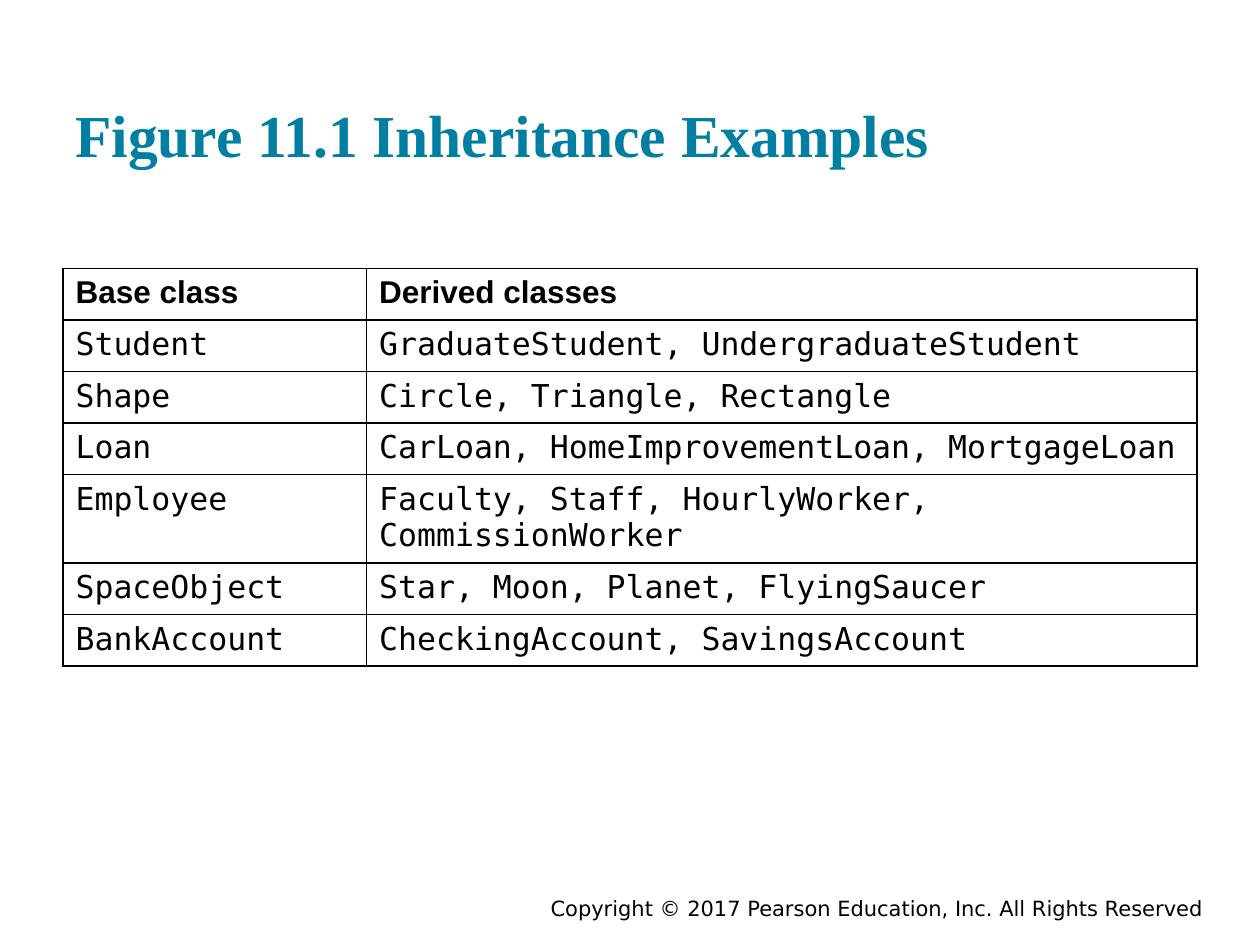
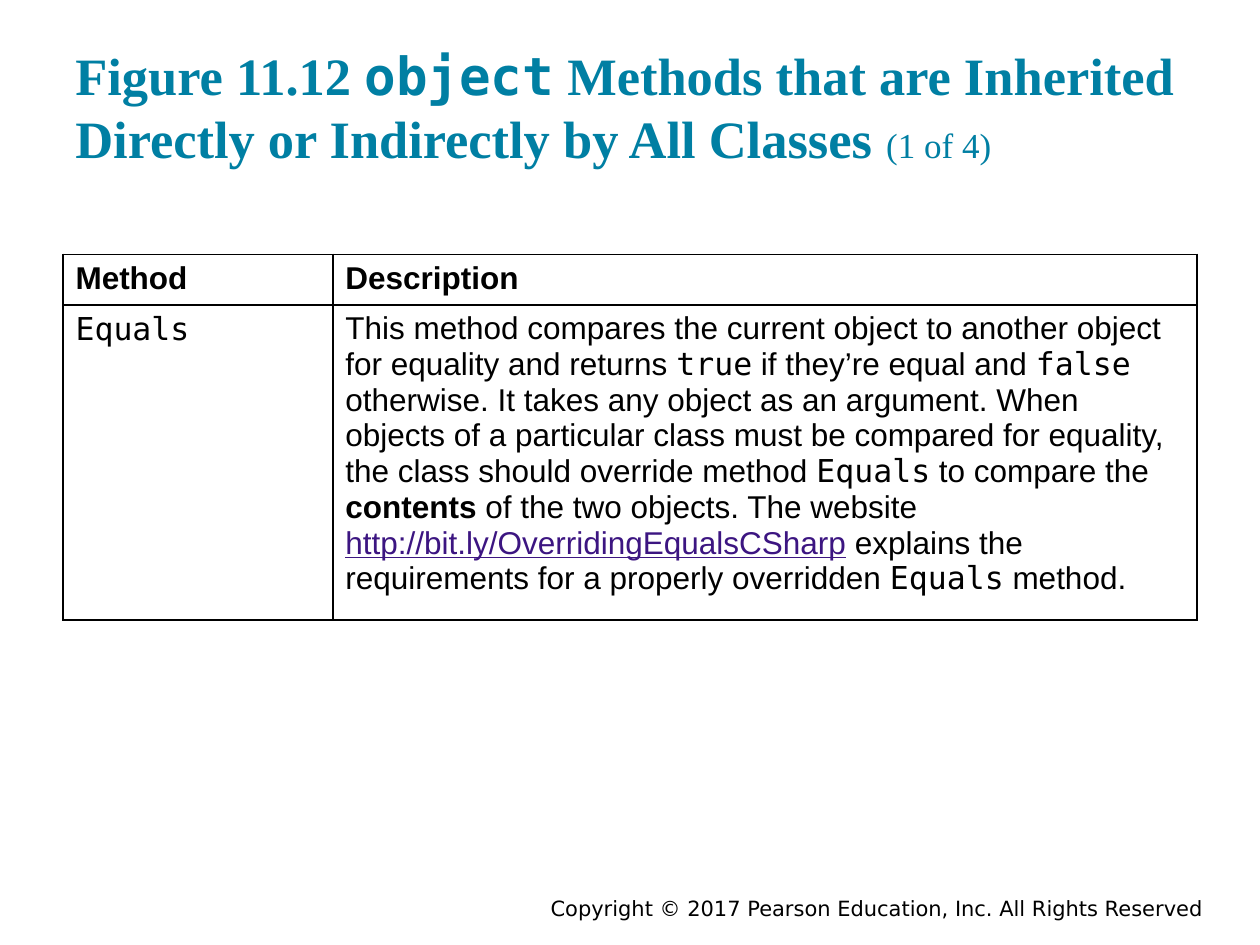
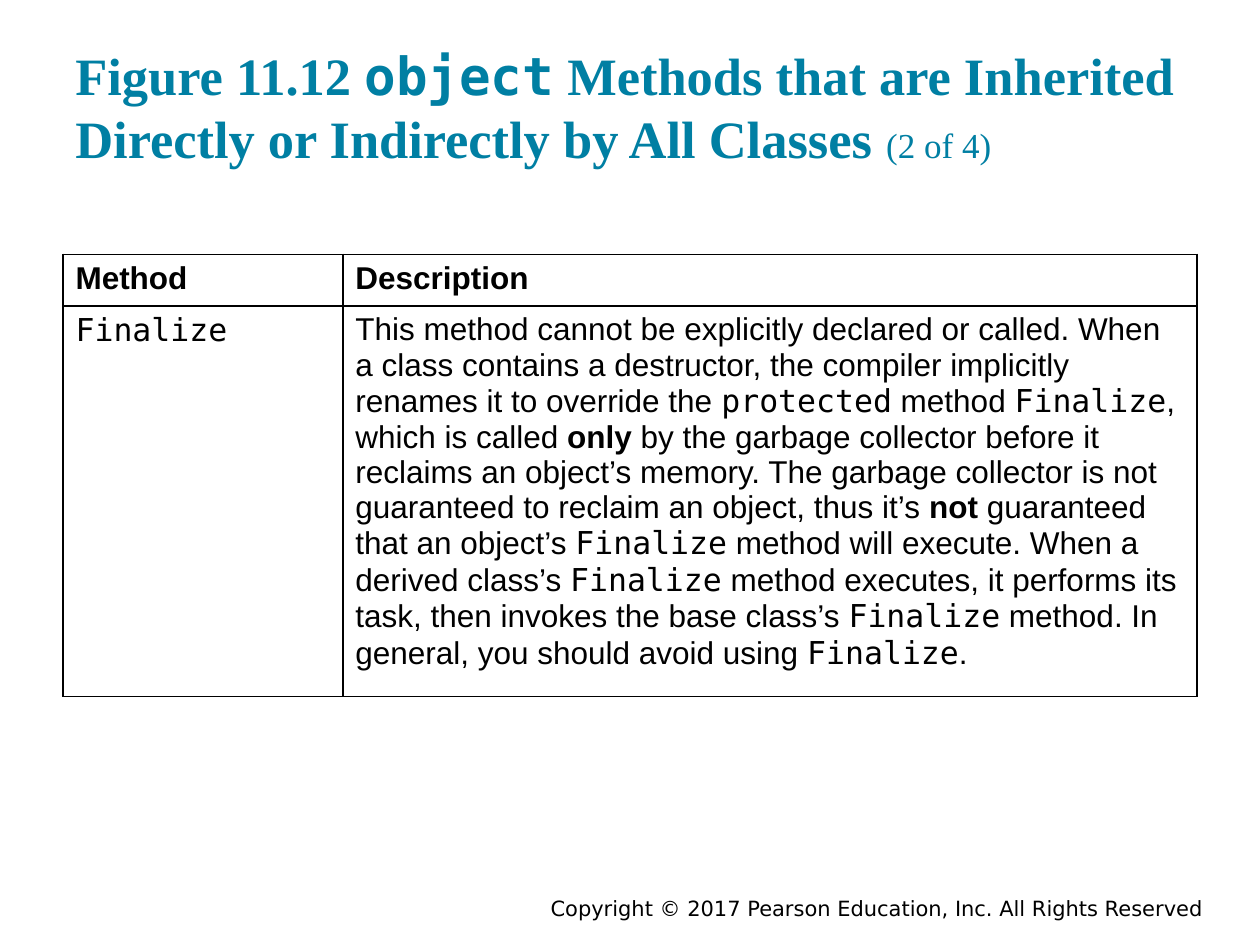
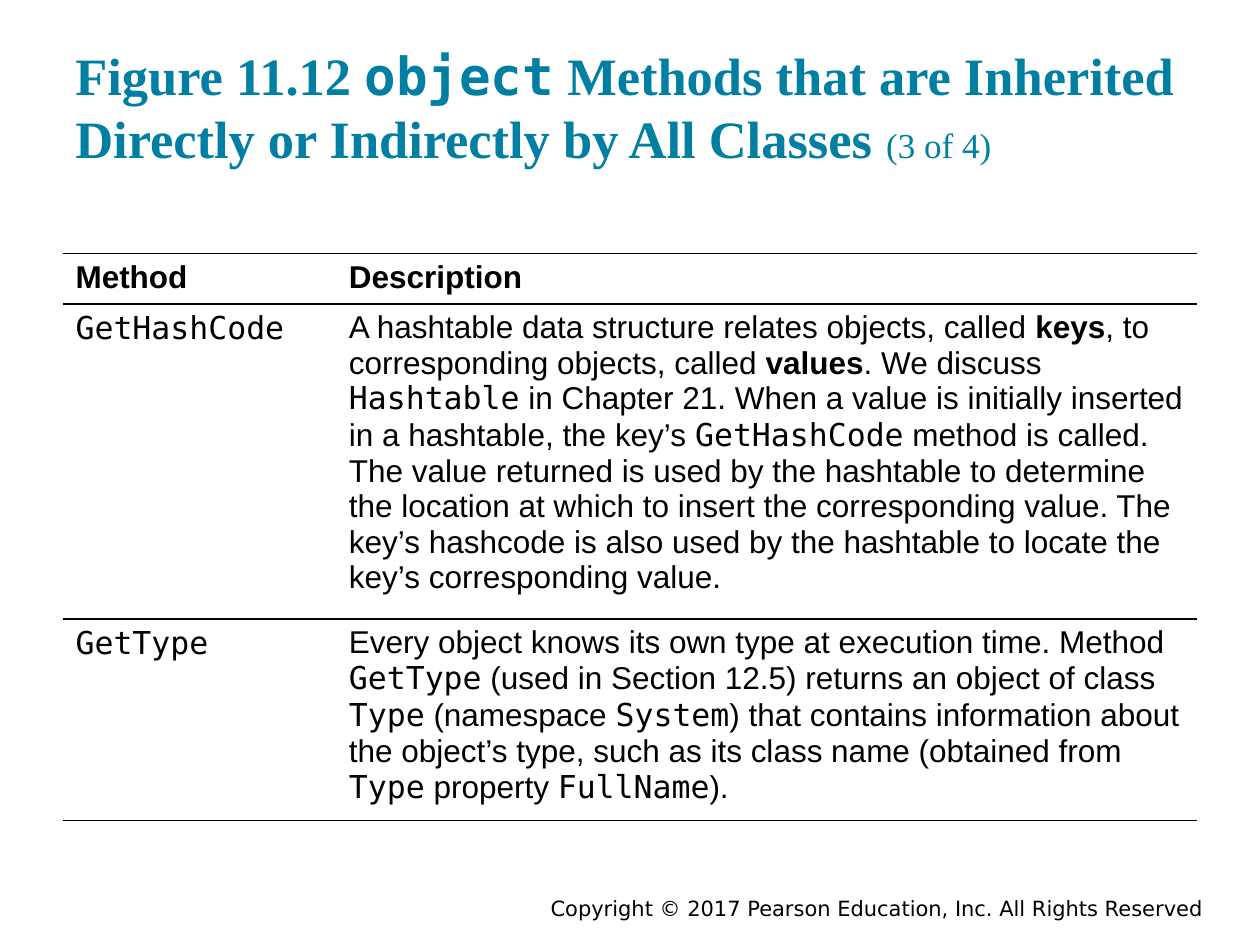
from lxml import etree
from pptx import Presentation
from pptx.dml.color import RGBColor
from pptx.enum.text import MSO_ANCHOR, PP_ALIGN
from pptx.oxml.ns import qn
from pptx.util import Cm, Pt

BOTTOM, MIDDLE = MSO_ANCHOR.BOTTOM, MSO_ANCHOR.MIDDLE
LEFT, RIGHT = PP_ALIGN.LEFT, PP_ALIGN.RIGHT

# Content; marks around words: `code`, *bold*, ~link~, ^page count^
COPYRIGHT = "Copyright © 2017 Pearson Education, Inc. All Rights Reserved"
METHODS_TITLE = ("Figure 11.12 `object` Methods that are Inherited Directly "
                 "or Indirectly by All Classes ^({} of 4)^")
METHODS_HEADER = ("Method", "Description")

SLIDES = [
    {
        "title": "Figure 11.1 Inheritance Examples", "title_size": 34,
        "top": 5.41, "first_column": 6.12, "borders": "LRTB",
        "row_heights": [1.04, 1.04, 1.04, 1.04, 1.73, 1.04, 1.04],
        "rows": [
            ("Base class", "Derived classes"),
            ("`Student`", "`GraduateStudent, UndergraduateStudent`"),
            ("`Shape`", "`Circle, Triangle, Rectangle`"),
            ("`Loan`", "`CarLoan, HomeImprovementLoan, MortgageLoan`"),
            ("`Employee`", "`Faculty, Staff, HourlyWorker, CommissionWorker`"),
            ("`SpaceObject`", "`Star, Moon, Planet, FlyingSaucer`"),
            ("`BankAccount`", "`CheckingAccount, SavingsAccount`"),
        ],
    },
    {
        "title": METHODS_TITLE.format(1), "title_size": 30,
        "top": 5.13, "first_column": 5.44, "borders": "LRTB",
        "row_heights": [0.97, 6],
        "rows": [
            METHODS_HEADER,
            ("`Equals`",
             "This method compares the current object to another object for "
             "equality and returns `true` if they’re equal and `false` "
             "otherwise. It takes any object as an argument. When objects of a "
             "particular class must be compared for equality, the class should "
             "override method `Equals` to compare the *contents* of the two "
             "objects. The website ~http://bit.ly/OverridingEqualsCSharp~ "
             "explains the requirements for a properly overridden `Equals` "
             "method."),
        ],
    },
    {
        "title": METHODS_TITLE.format(2), "title_size": 30,
        "top": 5.13, "first_column": 5.64, "borders": "LRTB",
        "row_heights": [1.04, 7.47],
        "rows": [
            METHODS_HEADER,
            ("`Finalize`",
             "This method cannot be explicitly declared or called. When a class "
             "contains a destructor, the compiler implicitly renames it to "
             "override the `protected` method `Finalize`, which is called "
             "*only* by the garbage collector before it reclaims an object’s "
             "memory. The garbage collector is not guaranteed to reclaim an "
             "object, thus it’s *not* guaranteed that an object’s `Finalize` "
             "method will execute. When a derived class’s `Finalize` method "
             "executes, it performs its task, then invokes the base class’s "
             "`Finalize` method. In general, you should avoid using "
             "`Finalize`."),
        ],
    },
    {
        "title": METHODS_TITLE.format(3), "title_size": 30,
        "top": 5.11, "first_column": 5.51, "borders": "TB",
        "row_heights": [0.97, 6, 3.89],
        "rows": [
            METHODS_HEADER,
            ("`GetHashCode`",
             "A hashtable data structure relates objects, called *keys*, to "
             "corresponding objects, called *values*. We discuss `Hashtable` "
             "in Chapter 21. When a value is initially inserted in a "
             "hashtable, the key’s `GetHashCode` method is called. The value "
             "returned is used by the hashtable to determine the location at "
             "which to insert the corresponding value. The key’s hashcode is "
             "also used by the hashtable to locate the key’s corresponding "
             "value."),
            ("`GetType`",
             "Every object knows its own type at execution time. Method "
             "`GetType` (used in Section 12.5) returns an object of class "
             "`Type` (namespace `System`) that contains information about the "
             "object’s type, such as its class name (obtained from `Type` "
             "property `FullName`)."),
        ],
    },
]

# Shared formats and places
BLACK = "000000"
TITLE_FORMAT = {"name": "Times New Roman", "bold": True, "color": "007FA3"}
CELL_FORMAT = {"name": "Arial", "size": Pt(18), "bold": False, "color": BLACK}
FOOTER_FORMAT = {"name": "DejaVu Sans", "size": Pt(12), "bold": False,
                 "color": BLACK}
MARKS = {
    "`": {"name": "DejaVu Sans Mono"},
    "*": {"bold": True},
    "~": {"color": "3C1581", "underline": True},
    "^": {"size": Pt(20), "bold": False},
}
MARGIN, CONTENT_WIDTH = 1.27, 22.86
TITLE_PLACE = (MARGIN, 0.61, CONTENT_WIDTH, 3.05)
FOOTER_PLACE = (7.62, 17.98, 16.89, 0.64)


def rgb(hex_color):
    return RGBColor.from_string(hex_color)


def split_marks(text):
    """Return (words, mark) pairs; the mark is empty for plain words."""
    pieces, words, mark = [], "", ""
    for letter in text:
        if letter in MARKS:
            pieces.append((words, mark))
            words, mark = "", "" if mark else letter
        else:
            words += letter
    pieces.append((words, mark))
    return [piece for piece in pieces if piece[0]]


def write(paragraph, text, base_format):
    for words, mark in split_marks(text):
        run = paragraph.add_run()
        run.text = words
        for key, value in {**base_format, **MARKS.get(mark, {})}.items():
            if key == "color":
                run.font.color.rgb = rgb(value)
            else:
                setattr(run.font, key, value)


def add_text(slide, place, text, base_format, anchor, align, inset):
    box = slide.shapes.add_textbox(*map(Cm, place))
    frame = box.text_frame
    frame_format = {"word_wrap": True, "vertical_anchor": anchor,
                    "margin_left": Cm(0.25), "margin_right": Cm(0.25),
                    "margin_top": Cm(inset), "margin_bottom": Cm(inset)}
    for key, value in frame_format.items():
        setattr(frame, key, value)
    frame.paragraphs[0].alignment = align
    write(frame.paragraphs[0], text, base_format)


def set_borders(cell, sides):
    properties = cell._tc.get_or_add_tcPr()
    for side in "LRTB":
        line = etree.SubElement(properties, qn(f"a:ln{side}"), w=str(Pt(1)))
        if side in sides:
            fill = etree.SubElement(line, qn("a:solidFill"))
            etree.SubElement(fill, qn("a:srgbClr"), val=BLACK)
        else:
            etree.SubElement(line, qn("a:noFill"))


def add_class_table(slide, content):
    rows, heights = content["rows"], content["row_heights"]
    table = slide.shapes.add_table(
        len(rows), 2, Cm(MARGIN), Cm(content["top"]),
        Cm(CONTENT_WIDTH), Cm(sum(heights))).table
    table.horz_banding = table.first_row = False
    table.columns[0].width = Cm(content["first_column"])
    table.columns[1].width = Cm(CONTENT_WIDTH - content["first_column"])
    for r, (row, height) in enumerate(zip(rows, heights)):
        table.rows[r].height = Cm(height)
        for c, text in enumerate(row):
            cell = table.cell(r, c)
            set_borders(cell, content["borders"])
            cell.fill.background()
            write(cell.text_frame.paragraphs[0], text,
                  {**CELL_FORMAT, "bold": r == 0})


def main():
    deck = Presentation()
    deck.slide_width, deck.slide_height = Cm(25.4), Cm(19.05)
    for content in SLIDES:
        slide = deck.slides.add_slide(deck.slide_layouts[6])
        add_text(slide, FOOTER_PLACE, COPYRIGHT, FOOTER_FORMAT,
                 MIDDLE, RIGHT, 0)
        add_text(slide, TITLE_PLACE, content["title"],
                 {**TITLE_FORMAT, "size": Pt(content["title_size"])},
                 BOTTOM, LEFT, 0.25)
        add_class_table(slide, content)
    deck.save("out.pptx")


if __name__ == "__main__":
    main()
